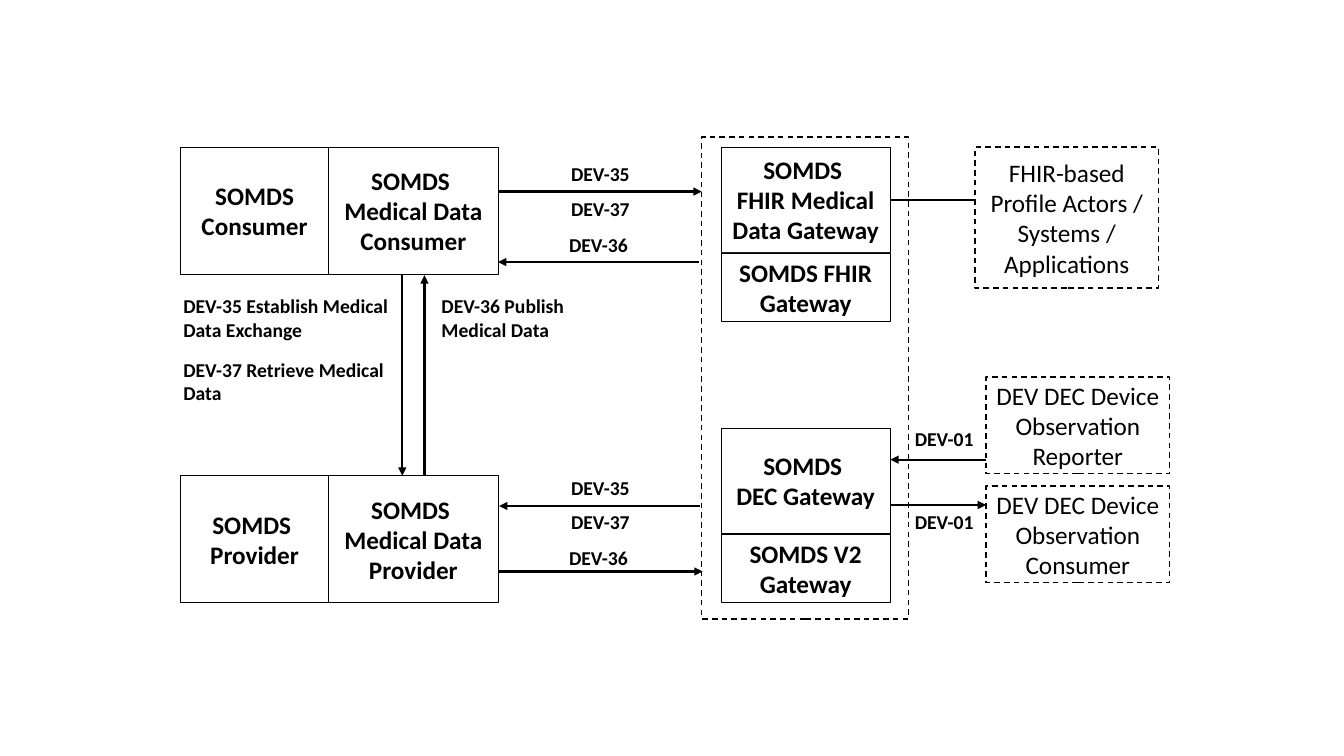
"""Build the SOMDS actors and gateways diagram slide."""
import pptx
import pptx.dml.color
import pptx.enum.dml
import pptx.enum.shapes
import pptx.enum.text
import pptx.oxml
import pptx.util
from pptx.util import Inches

BLACK, WHITE = "000000", "FFFFFF"
ALIGN = pptx.enum.text.PP_ALIGN
ANCHOR = pptx.enum.text.MSO_ANCHOR

ACTOR_ROWS = [
    (1.46, ["SOMDS Consumer"], ["SOMDS ", "Medical Data Consumer"]),
    (4.72, ["SOMDS ", "Provider"], ["SOMDS ", "Medical Data Provider"]),
]
GATEWAY_STACKS = [
    (1.46, ["SOMDS ", "FHIR Medical Data Gateway"], ["SOMDS FHIR Gateway"]),
    (4.25, ["SOMDS ", "DEC Gateway"], ["SOMDS V2 Gateway"]),
]
EXTERNAL_SYSTEMS = [
    ("FHIR-based Profile Actors / Systems / Applications", 9.67, 1.46, 1.4),
    ("DEV DEC Device Observation Reporter", 9.78, 3.74, 0.96),
    ("DEV DEC Device Observation Consumer", 9.78, 4.82, 0.96),
]
GATEWAY_FRAME = (6.96, 1.36, 2.05, 4.78)
TRANSACTION_NOTES = [
    ("DEV-35 Establish Medical Data Exchange", 1.72, 2.87, 2.26),
    ("DEV-37 Retrieve Medical Data", 1.72, 3.5, 2.26),
    ("DEV-36 Publish Medical Data", 4.28, 2.87, 1.66),
]
EXCHANGE_TOPS = [1.56, 4.67]
EXCHANGE_LABELS = [("DEV-35", 0, 2.03), ("DEV-37", 0.34, 2.03), ("DEV-36", 0.7, 1.99)]
OBSERVATION_LABELS = [("DEV-01", 8.95, 4.19), ("DEV-01", 8.95, 5.01)]
ARROWS = [
    (3.99, 2.73, 3.99, 4.72),
    (4.21, 4.72, 4.21, 2.73),
    (4.94, 1.9, 6.96, 1.9),
    (6.93, 2.6, 4.94, 2.6),
    (6.94, 5.02, 4.95, 5.02),
    (4.95, 5.67, 6.97, 5.67),
    (9.78, 4.56, 8.83, 4.56),
    (8.83, 5.01, 9.78, 5.01),
]
PLAIN_LINE = (8.83, 1.98, 9.67, 1.98)


def color(hex_text):
    """Turn a hex string into a colour."""
    return pptx.dml.color.RGBColor.from_string(hex_text)


def write_text(shape, lines, size, bold, alignment, anchor, side_margin):
    """Write one paragraph per line with a shared format."""
    frame = shape.text_frame
    frame_format = {
        "word_wrap": True,
        "vertical_anchor": anchor,
        "margin_left": Inches(side_margin),
        "margin_right": Inches(side_margin),
    }
    for name, value in frame_format.items():
        setattr(frame, name, value)
    font_format = {"name": "Calibri", "size": pptx.util.Pt(size), "bold": bold}
    for index, line in enumerate(lines):
        paragraph = frame.add_paragraph() if index else frame.paragraphs[0]
        paragraph.alignment = alignment
        run = paragraph.add_run()
        run.text = line
        for name, value in font_format.items():
            setattr(run.font, name, value)
        run.font.color.rgb = color(BLACK)


def add_box(slide, lines, left, top, width, height, dashed=False):
    """Add a solid actor box or a dashed external box."""
    shape = slide.shapes.add_shape(
        pptx.enum.shapes.MSO_SHAPE.RECTANGLE, *map(Inches, (left, top, width, height)))
    shape.shadow.inherit = False
    shape.line.color.rgb = color(BLACK)
    shape.line.width = pptx.util.Pt(1 if dashed else 0.5)
    if dashed:
        shape.fill.background()
        shape.line.dash_style = pptx.enum.dml.MSO_LINE.DASH
    else:
        shape.fill.solid()
        shape.fill.fore_color.rgb = color(WHITE)
    write_text(shape, lines, 18, not dashed, ALIGN.CENTER, ANCHOR.MIDDLE, 0.08)


def add_label(slide, text, left, top, width, height=0.34, alignment=ALIGN.CENTER):
    """Add a bold transaction label."""
    label = slide.shapes.add_textbox(*map(Inches, (left, top, width, height)))
    write_text(label, [text], 14, True, alignment, ANCHOR.TOP, 0.1)


def add_line(slide, ends, arrow=True):
    """Add a straight line, with an arrowhead at its end if wanted."""
    connector = slide.shapes.add_connector(
        pptx.enum.shapes.MSO_CONNECTOR.STRAIGHT, *map(Inches, ends))
    connector.line.color.rgb = color(BLACK)
    connector.line.width = pptx.util.Pt(1.5)
    if arrow:
        tail = pptx.oxml.parse_xml(
            f'<a:tailEnd {pptx.oxml.ns.nsdecls("a")} type="triangle"/>')
        connector.line._get_or_add_ln().append(tail)
    effects = pptx.oxml.parse_xml(f'<a:effectLst {pptx.oxml.ns.nsdecls("a")}/>')
    connector._element.spPr.append(effects)


presentation = pptx.Presentation()
presentation.slide_width = Inches(13.33)
presentation.slide_height = Inches(7.5)
slide = presentation.slides.add_slide(presentation.slide_layouts[6])

for top, role, data_role in ACTOR_ROWS:
    add_box(slide, role, 1.79, top, 1.47, 1.26)
    add_box(slide, data_role, 3.26, top, 1.68, 1.26)
for top, gateway, base_gateway in GATEWAY_STACKS:
    add_box(slide, gateway, 7.15, top, 1.68, 1.04)
    add_box(slide, base_gateway, 7.15, top + 1.05, 1.68, 0.68)
for text, left, top, height in EXTERNAL_SYSTEMS:
    add_box(slide, [text], left, top, 1.82, height, dashed=True)
add_box(slide, [], *GATEWAY_FRAME, dashed=True)

for text, left, top, width in TRANSACTION_NOTES:
    add_label(slide, text, left, top, width, 0.57, ALIGN.LEFT)
for top in EXCHANGE_TOPS:
    for text, offset, width in EXCHANGE_LABELS:
        add_label(slide, text, 4.94, top + offset, width)
for text, left, top in OBSERVATION_LABELS:
    add_label(slide, text, left, top, 0.83)

for ends in ARROWS:
    add_line(slide, ends)
add_line(slide, PLAIN_LINE, arrow=False)

presentation.save("out.pptx")
